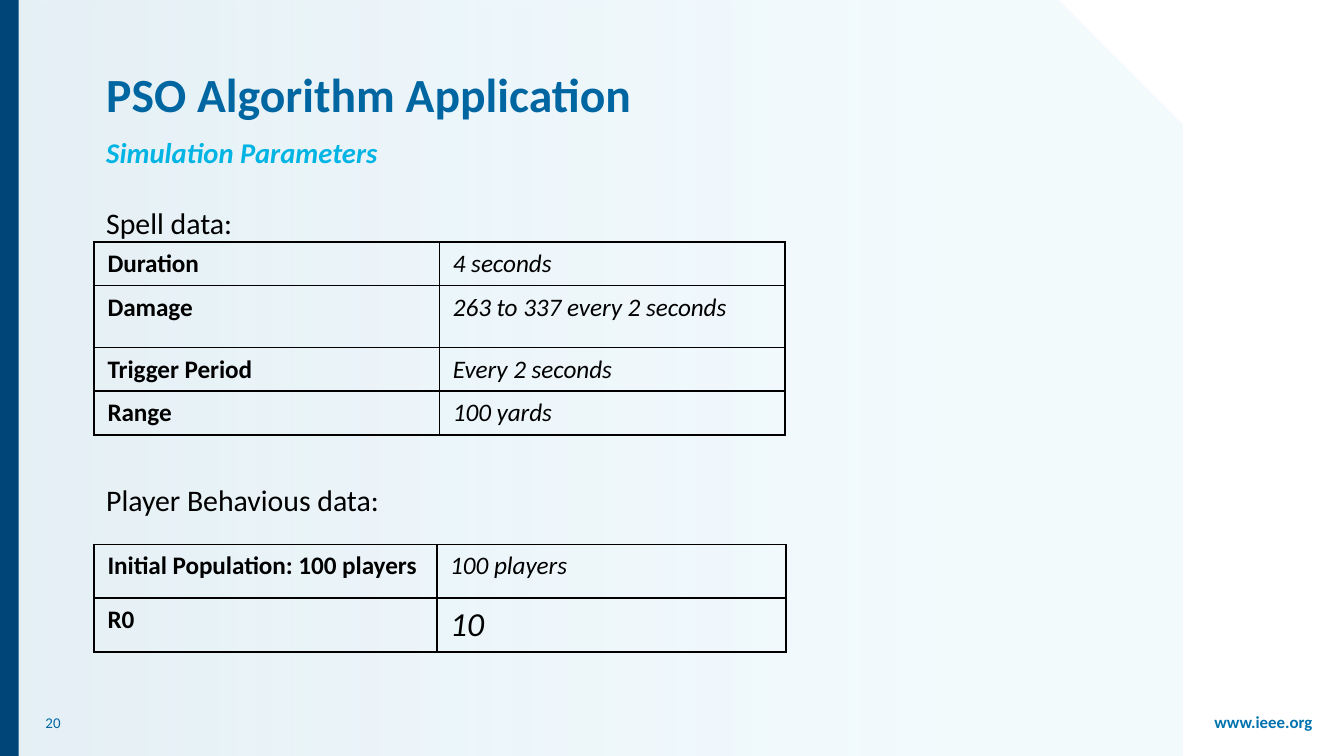
"""Build the slide with the simulation parameters of the PSO application."""
from pptx import Presentation
from pptx.dml.color import RGBColor
from pptx.enum.shapes import MSO_SHAPE as Shape
from pptx.enum.text import MSO_ANCHOR as Anchor, MSO_AUTO_SIZE as AutoSize, PP_ALIGN as Align
from pptx.oxml.ns import qn
from pptx.oxml.xmlchemy import OxmlElement
from pptx.util import Inches, Pt

SLIDE_WIDTH = 10
SLIDE_HEIGHT = SLIDE_WIDTH * 9 / 16
FONT = "Calibri"
BLACK = RGBColor(0x00, 0x00, 0x00)
NAVY = RGBColor(0x00, 0x45, 0x78)
BLUE = RGBColor(0x00, 0x66, 0xA1)
LINK_BLUE = RGBColor(0x00, 0x73, 0xAE)
CYAN = RGBColor(0x01, 0xB4, 0xE3)
PANEL_STOPS = [(0, RGBColor(0xCB, 0xE0, 0xEB), 50), (0.79, RGBColor(0xD8, 0xF0, 0xFA), 30)]

SPELL_ROWS = [
    ("Duration", "4 seconds"),
    ("Damage", "263 to 337 every 2 seconds"),
    ("Trigger Period", "Every 2 seconds"),
    ("Range", "100 yards"),
]
PLAYER_ROWS = [("Initial Population: 100 players", "100 players"), ("R0", "10")]


def add_run(paragraph, text, size, color=BLACK, bold=False, italic=False):
    """Add one formatted run to a paragraph."""
    run = paragraph.add_run()
    run.text = text
    font = run.font
    font.name, font.size, font.bold, font.italic = FONT, Pt(size), bold, italic
    font.color.rgb = color


def place(shape, left, top, width, height):
    """Move and size a shape, in inches."""
    shape.left, shape.top = Inches(left), Inches(top)
    shape.width, shape.height = Inches(width), Inches(height)


def add_plain_shape(slide, kind, width):
    """Add a full-height shape at the left edge, without line or shadow."""
    shape = slide.shapes.add_shape(kind, 0, 0, Inches(width), Inches(SLIDE_HEIGHT))
    shape.shadow.inherit = False
    shape.line.fill.background()
    return shape


def add_panel(slide):
    """Add the translucent gradient panel behind everything else."""
    panel = add_plain_shape(slide, Shape.SNIP_1_RECTANGLE, 8.8)
    panel.fill.gradient()
    panel.fill.gradient_angle = 0
    for stop, (position, color, _) in zip(panel.fill.gradient_stops, PANEL_STOPS):
        stop.position = position
        stop.color.rgb = color
    stop_colors = panel._element.iter(qn("a:srgbClr"))
    for element, (_, _, opacity) in zip(stop_colors, PANEL_STOPS):
        alpha = OxmlElement("a:alpha")
        alpha.set("val", str(opacity * 1000))
        element.append(alpha)
    slide.shapes._spTree.insert(2, panel._element)


def add_label(slide, box, text, size, color, **style):
    """Add a small text box and return its shape."""
    label = slide.shapes.add_textbox(*map(Inches, box))
    label.text_frame.word_wrap = True
    add_run(label.text_frame.paragraphs[0], text, size, color, **style)
    return label


def fill_placeholder(placeholder, box, lines, size, color, anchor=Anchor.TOP,
                     spacing=0.9, gap=0, **style):
    """Place a placeholder and write its lines without bullets."""
    place(placeholder, *box)
    frame = placeholder.text_frame
    frame.auto_size = AutoSize.NONE
    frame.vertical_anchor = anchor
    for index, line in enumerate(lines):
        paragraph = frame.add_paragraph() if index else frame.paragraphs[0]
        properties = paragraph._p.get_or_add_pPr()
        properties.set("marL", "0")
        properties.set("indent", "0")
        properties.append(OxmlElement("a:buNone"))
        paragraph.alignment = Align.LEFT
        paragraph.line_spacing = spacing
        paragraph.space_before = Pt(gap if index else 0)
        add_run(paragraph, line, size, color, **style)


def add_borders(cell):
    """Draw a thin black line on each side of a cell."""
    properties = cell._tc.get_or_add_tcPr()
    for side in ("a:lnL", "a:lnR", "a:lnT", "a:lnB"):
        line = OxmlElement(side)
        line.set("w", str(Pt(1)))
        fill = OxmlElement("a:solidFill")
        color = OxmlElement("a:srgbClr")
        color.set("val", str(BLACK))
        fill.append(color)
        line.append(fill)
        properties.append(line)


def add_parameter_table(slide, top, widths, heights, rows, value_sizes):
    """Add a table of bold names and italic values."""
    frame = slide.shapes.add_table(len(rows), 2, Inches(0.7), Inches(top),
                                   Inches(sum(widths)), Inches(sum(heights)))
    table = frame.table
    table.first_row = table.horz_banding = False
    for column, width in zip(table.columns, widths):
        column.width = Inches(width)
    for index, (name, value) in enumerate(rows):
        table.rows[index].height = Inches(heights[index])
        name_cell, value_cell = table.rows[index].cells
        for cell in (name_cell, value_cell):
            add_borders(cell)
            cell.fill.background()
        add_run(name_cell.text_frame.paragraphs[0], name, 13.5, bold=True)
        add_run(value_cell.text_frame.paragraphs[0], value, value_sizes[index], italic=True)


def main():
    """Build and save the presentation."""
    presentation = Presentation()
    presentation.slide_width = Inches(SLIDE_WIDTH)
    presentation.slide_height = Inches(SLIDE_HEIGHT)
    slide = presentation.slides.add_slide(presentation.slide_layouts[3])
    title, body, subtitle = slide.placeholders

    add_panel(slide)
    bar = add_plain_shape(slide, Shape.RECTANGLE, 0.14)
    bar.fill.solid()
    bar.fill.fore_color.rgb = NAVY

    address = add_label(slide, (8.8, 5.26, 1.2, 0.37), "www.ieee.org", 9, LINK_BLUE, bold=True)
    address.text_frame.paragraphs[0].alignment = Align.CENTER
    address.text_frame.paragraphs[0].line_spacing = 0.9
    number = add_label(slide, (0.24, 5.23, 0.34, 0.3), "20", 8, BLUE)
    number.text_frame.vertical_anchor = Anchor.MIDDLE

    fill_placeholder(title, (0.69, 0.29, 7.26, 0.67), ["PSO Algorithm Application"],
                     25.5, BLUE, anchor=Anchor.BOTTOM, bold=True)
    fill_placeholder(subtitle, (0.69, 1.02, 7.94, 0.29), ["Simulation Parameters"],
                     15.3, CYAN, spacing=0.7, bold=True, italic=True)
    fill_placeholder(body, (0.69, 1.5, 7.87, 3.43), ["Spell data:", "Player Behavious data:"],
                     16, BLACK, gap=131.4)

    add_parameter_table(slide, 1.8, (2.57, 2.57), (0.31, 0.46, 0.31, 0.31),
                        SPELL_ROWS, [13.5] * 4)
    add_parameter_table(slide, 4.05, (2.55, 2.6), (0.4, 0.4), PLAYER_ROWS, [13.5, 18])
    presentation.save("out.pptx")


if __name__ == "__main__":
    main()
